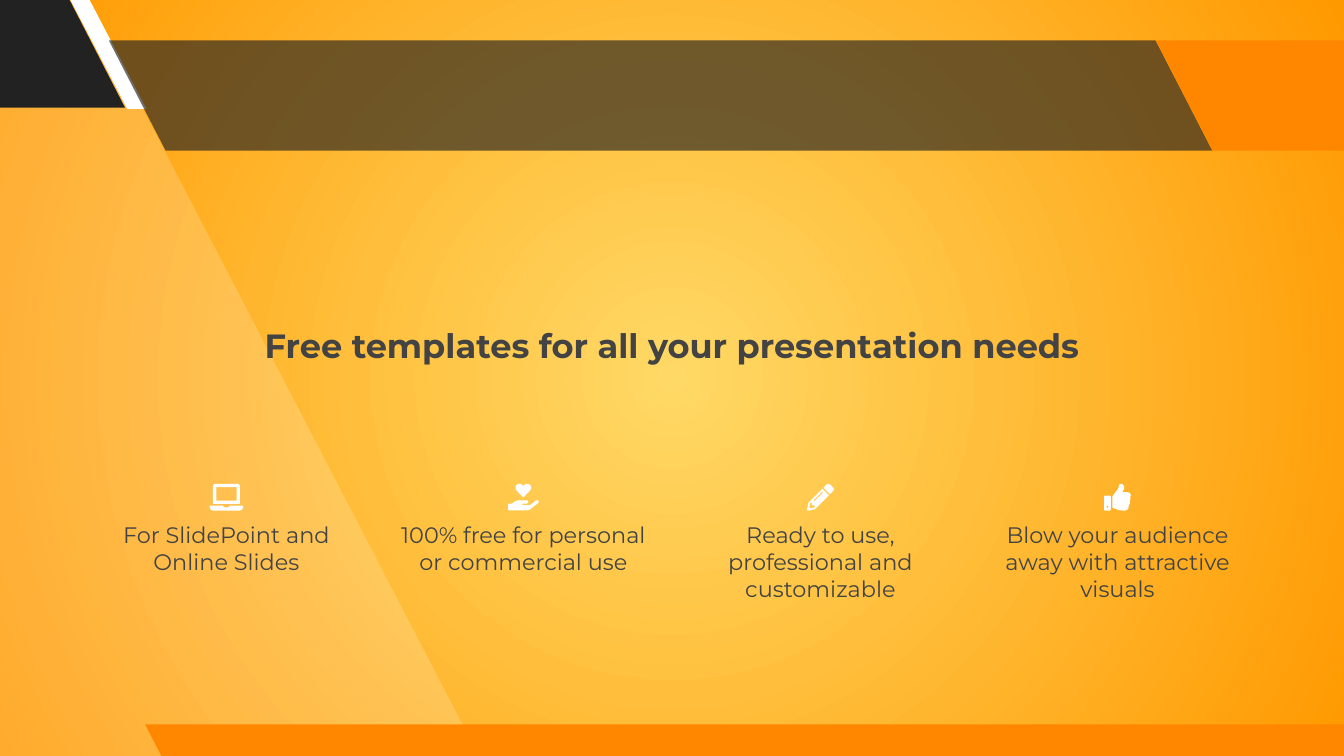
from lxml import etree
from pptx import Presentation
from pptx import util as u
from pptx.dml.color import RGBColor
from pptx.enum import shapes, text
from pptx.oxml.ns import qn

Inches = u.Inches
COLORS = {"glow": "FFD966", "amber": "FF9900", "orange": "FF8700",
          "dark": "222222", "white": "FFFFFF", "text": "434343"}
FONT = "Montserrat"

# left, top, width, height, slant, colour, opacity in percent
BANDS = [
    (-0.99, -0.02, 1.92, 0.82, 0.515, "dark", 100),
    (0.52, -0.01, 0.57, 0.82, 0.75, "white", 100),
    (0.81, 0.3, 8.21, 0.82, 0.515, "dark", 65),
    (8.6, 0.3, 1.92, 0.82, 0.515, "orange", 100),
    (1.08, 5.39, 9.15, 0.25, 0.515, "orange", 100),
]

# Outlines in hundredths of an inch
PANEL = [[(356, 562), (62, -4), (-6, -4), (-2, 566)]]
LAPTOP = [
    [(20, 2.5), (20, 12.5), (5, 12.5), (5, 2.5)],
    [(4, 0), (3, 0.5), (2.5, 1.8), (2.5, 15), (22.5, 15), (22.5, 1.8),
     (22, 0.5), (21, 0)],
    [(0.5, 16.2), (0, 16.8), (0, 17.5), (0.8, 19.2), (2.5, 20), (22.5, 20),
     (24.2, 19.2), (25, 17.5), (25, 16.8), (24.5, 16.2), (15, 16.2),
     (14.6, 17.2), (13.8, 17.5), (11.2, 17.5), (10.4, 17.2), (10, 16.2)],
]
HEART_HAND = [
    [(8, 0), (6.5, 0.6), (5.7, 2), (5.6, 3.4), (6.4, 5), (10.8, 9.6),
     (11.4, 9.8), (12, 9.6), (16.4, 5), (17.2, 3.4), (17.1, 2), (16.3, 0.6),
     (14.8, 0), (13.2, 0.1), (11.4, 1.5), (9.6, 0.1)],
    [(8, 12.3), (6.3, 12.5), (4.9, 13.2), (2.9, 14.8), (0.6, 14.8),
     (0, 15.4), (0, 19.2), (0.6, 19.8), (14.5, 19.8), (16.2, 19.2),
     (22.4, 14.3), (22.9, 13.4), (22.6, 12.6), (21.6, 12.2), (20.6, 12.5),
     (17.2, 15.3), (16, 15.8), (11, 15.8), (10.4, 15.3), (11, 14.8),
     (13.8, 14.8), (14.9, 14.2), (15.1, 13.2), (14.6, 12.5), (13.8, 12.3)],
]
PENCIL = [
    [(16, 0), (14.6, 0.5), (12.3, 2.9), (17.1, 7.7), (19.5, 5.3), (20, 4),
     (19.5, 2.8), (17.2, 0.5)],
    [(11.4, 6.2), (11.7, 6.8), (5.7, 12.9), (5, 13), (4.9, 12.3), (10.9, 6.2)],
    [(3.4, 13.8), (3.4, 16), (5.6, 16), (5.6, 17.6), (2.6, 18.3),
     (1.7, 17.4), (2.3, 14.2)],
    [(11.4, 3.7), (1.1, 14), (0, 19), (0.2, 19.8), (1, 20), (6, 18.9),
     (16.3, 8.6)],
]
THUMB = [
    [(2.5, 16.2), (3.4, 17.2), (2.5, 18.1), (1.6, 17.2)],
    [(1, 8.8), (0.2, 9), (0, 9.8), (0, 19), (0.2, 19.8), (1, 20), (4, 20),
     (4.8, 19.8), (5, 19), (5, 9.8), (4.8, 9), (4, 8.8)],
    [(12.2, 0), (11.4, 0.6), (10.6, 3.2), (9.8, 4.8), (7.2, 8), (6.3, 9),
     (6.2, 17.5), (7, 18.2), (9, 18.8), (11.5, 19.8), (16, 20), (17.8, 19),
     (18.4, 17.2), (18.3, 16.4), (19.3, 14.5), (19.1, 12.8), (19.8, 11),
     (19.4, 9.9), (20, 8.6), (19.4, 7), (17.8, 6.3), (13.5, 6.3),
     (14.9, 3.8), (15, 2), (14.2, 0.6)],
]
FEATURES = [
    ("For SlidePoint and Online Slides", LAPTOP),
    ("100% free for personal or commercial use", HEART_HAND),
    ("Ready to use, professional and customizable", PENCIL),
    ("Blow your audience away with attractive visuals", THUMB),
]
COLUMN = {"left": 0.76, "step": 2.21, "width": 1.85}


def rgb(name):
    return RGBColor.from_string(COLORS[name])


def paint(shape, color, opacity=100):
    """Plain fill without outline or shadow."""
    shape.shadow.inherit = False
    shape.line.fill.background()
    shape.fill.solid()
    shape.fill.fore_color.rgb = rgb(color)
    if opacity < 100:
        clr = shape._element.spPr.find(".//" + qn("a:srgbClr"))
        etree.SubElement(clr, qn("a:alpha"), val=str(opacity * 1000))


def radial_background(s):
    fill = s.background.fill
    fill.gradient()
    for stop, position, color in zip(fill.gradient_stops, (0, 1), ("glow", "amber")):
        stop.position = position
        stop.color.rgb = rgb(color)
    grad = s._element.find(".//" + qn("a:gradFill"))
    lin = grad.find(qn("a:lin"))
    circle = etree.Element(qn("a:path"), path="circle")
    etree.SubElement(circle, qn("a:fillToRect"),
                     {side: "50000" for side in "ltrb"})
    grad.replace(lin, circle)


def add_band(s, left, top, width, height, slant, color, opacity):
    sp = s.shapes.add_shape(shapes.MSO_SHAPE.PARALLELOGRAM, Inches(left),
                            Inches(top), Inches(width), Inches(height))
    sp.adjustments[0] = slant
    sp._element.spPr.xfrm.set("flipH", "1")
    paint(sp, color, opacity)


def add_outline(parent, contours, color, opacity=100, left=0, top=0):
    """One freeform from closed contours, kept to a thousandth of an inch."""
    first, *others = [[(round(x * 10), round(y * 10)) for x, y in contour]
                      for contour in contours]
    builder = parent.shapes.build_freeform(*first[0], scale=Inches(1) / 1000)
    builder.add_line_segments(first[1:], close=True)
    for contour in others:
        builder.move_to(*contour[0])
        builder.add_line_segments(contour[1:], close=True)
    paint(builder.convert_to_shape(Inches(left), Inches(top)), color, opacity)


def add_text(parent, words, left, top, width, height, size, bold=False):
    tf = parent.shapes.add_textbox(Inches(left), Inches(top),
                                   Inches(width), Inches(height)).text_frame
    frame = {"word_wrap": True, "margin_left": 0, "margin_right": 0,
             "margin_top": 0, "margin_bottom": 0}
    for name, value in frame.items():
        setattr(tf, name, value)
    p = tf.paragraphs[0]
    p.alignment = text.PP_ALIGN.CENTER
    r = p.add_run()
    r.text = words
    for name, value in {"name": FONT, "size": u.Pt(size), "bold": bold}.items():
        setattr(r.font, name, value)
    r.font.color.rgb = rgb("text")


def add_feature(s, index, words, icon):
    """A label with its icon centred above it."""
    left = COLUMN["left"] + index * COLUMN["step"]
    group = s.shapes.add_group_shape()
    add_text(group, words, left, 3.88, COLUMN["width"], 0.7, 12)
    icon_width = max(x for contour in icon for x, _ in contour) / 100
    add_outline(group, icon, "white",
                left=left + (COLUMN["width"] - icon_width) / 2, top=3.6)


def main():
    prs = Presentation()
    prs.slide_width = Inches(10)
    prs.slide_height = prs.slide_width * 9 // 16
    s = prs.slides.add_slide(prs.slide_layouts[6])
    radial_background(s)
    add_outline(s, PANEL, "white", 18)
    for band in BANDS:
        add_band(s, *band)
    add_text(s, "Free templates for all your presentation needs",
             1.21, 2.42, 7.58, 0.29, 18, bold=True)
    for index, (words, icon) in enumerate(FEATURES):
        add_feature(s, index, words, icon)
    prs.save("out.pptx")


if __name__ == "__main__":
    main()
